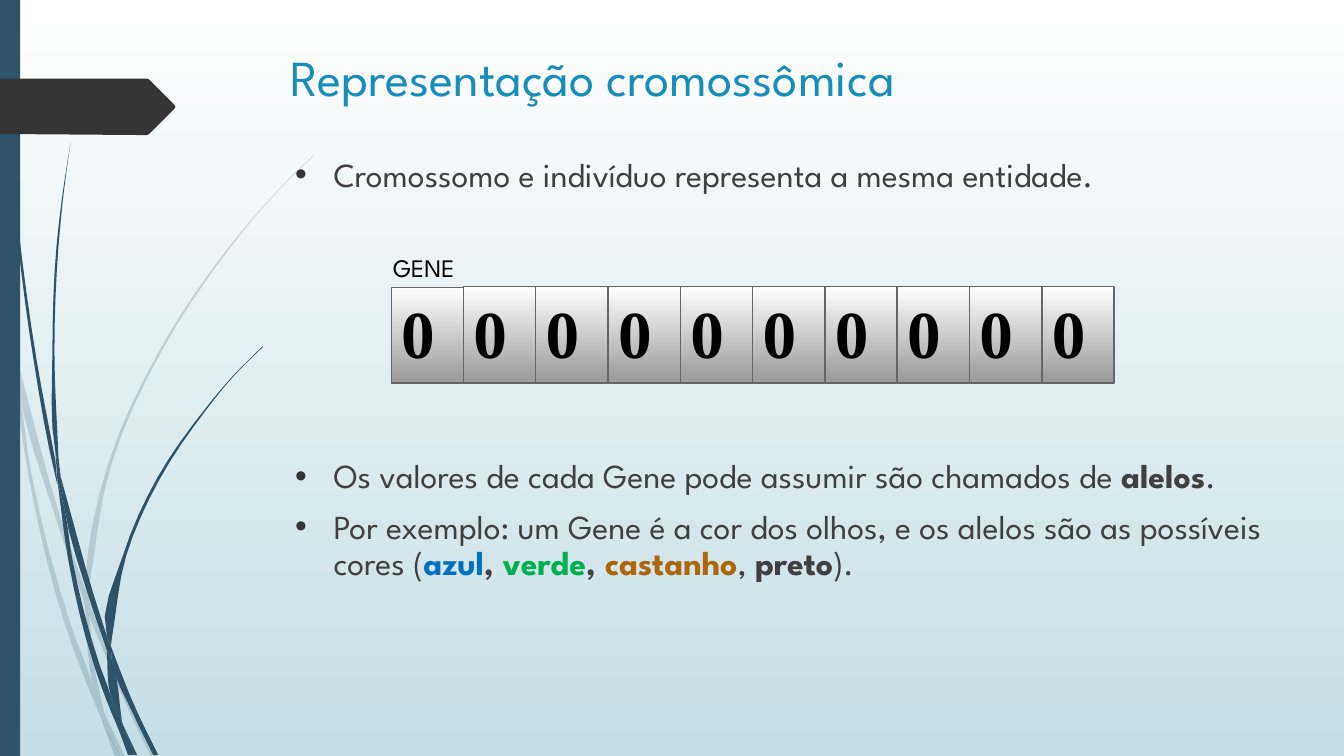
from lxml import etree
from pptx import Presentation, util as u
from pptx.dml.color import RGBColor
from pptx.enum import shapes, text
from pptx.oxml.ns import qn

BLUE, DARK, BODY = "2E5369", "353535", "404040"
SANS, SERIF = "League Spartan", "Times New Roman"

# Each piece of grass is a pair of edges: one running down, one back up
PALE_GRASS = [
    ([(0, 2.82), (0.09, 3.22), (0.11, 3.5)], [(0.1, 3.44), (0, 2.99)]),
    ([(0.14, 3.45), (0.17, 3.76), (0.58, 5.22), (0.84, 5.99)],
     [(0.85, 5.86), (0.62, 5.2), (0.14, 3.45)]),
    ([(0.88, 5.96), (0.92, 6.07), (1.27, 6.92), (1.55, 7.51)],
     [(1.5, 7.51), (1.23, 6.94), (0.88, 6.1)]),
    ([(1.05, 7.11), (1.24, 7.51)], [(1.19, 7.51), (1.05, 7.11)]),
    ([(0.11, 3.5), (0.28, 4.7), (0.65, 6.21), (0.92, 6.93), (1.01, 7.14)],
     [(0.99, 7.07), (0.93, 6.83), (0.7, 6.19), (0.31, 4.69), (0.17, 3.76), (0.11, 3.5)]),
    ([(0.84, 5.99), (0.87, 6.46), (0.93, 6.83), (0.96, 6.92), (1.05, 7.11)],
     [(1.03, 7.06), (0.91, 6.46), (0.88, 6.1), (0.84, 5.99)]),
    ([(3.12, 1.53), (2.89, 1.75), (2.68, 1.97), (2.28, 2.44), (1.58, 3.48),
      (1.07, 4.61), (0.85, 5.84), (0.85, 5.86), (0.88, 5.96)],
     [(0.88, 5.84), (1.1, 4.62), (1.6, 3.49), (2.29, 2.45), (2.68, 1.98),
      (2.9, 1.75), (3.12, 1.54)]),
    ([(1.01, 7.14), (1.14, 7.51)], [(1.19, 7.51), (1.01, 7.14)]),
    ([(0.85, 5.86), (0.84, 5.99), (0.88, 6.1)], [(0.88, 5.96), (0.85, 5.86)]),
    ([(0.93, 6.83), (0.99, 7.07), (1.01, 7.14), (1.19, 7.51)],
     [(1.05, 7.11), (0.96, 6.92), (0.93, 6.83)]),
]
DARK_GRASS = [
    ([(0.03, 0), (0.04, 0.48), (0.07, 1.1), (0.17, 2.33), (0.33, 3.55),
      (0.56, 4.77), (0.57, 4.81)],
     [(0.55, 4.57), (0.36, 3.55), (0.19, 2.32), (0.08, 1.09), (0.05, 0.48), (0.04, 0)]),
    ([(0.6, 4.72), (0.64, 5.05), (0.88, 5.92), (1.06, 6.45)],
     [(1.06, 6.31), (0.93, 5.9), (0.6, 4.72)]),
    ([(1.1, 6.41), (1.13, 6.49), (1.36, 7.06), (1.57, 7.49)],
     [(1.52, 7.49), (1.32, 7.08), (1.11, 6.56), (1.1, 6.41)]),
    ([(0.57, 4.77), (0.68, 5.57), (0.93, 6.59), (1.11, 7.08), (1.17, 7.22)],
     [(1.16, 7.17), (1.1, 6.91), (0.98, 6.57), (0.72, 5.56), (0.64, 5.05), (0.57, 4.77)]),
    ([(0.7, 1.41), (0.62, 1.93), (0.56, 2.45), (0.52, 3.49), (0.55, 4.49), (0.6, 4.72)],
     [(0.58, 4.53), (0.54, 3.49), (0.58, 2.45), (0.63, 1.93), (0.7, 1.41)]),
    ([(1.22, 7.19), (1.33, 7.49)], [(1.36, 7.49), (1.22, 7.19)]),
    ([(0.55, 4.49), (0.57, 4.77), (0.64, 5.05)], [(0.6, 4.72), (0.55, 4.49)]),
    ([(2.6, 3.44), (2.31, 3.73), (2.04, 4.05), (1.56, 4.74), (1.22, 5.51),
      (1.06, 6.31), (1.1, 6.41)],
     [(1.11, 6.33), (1.25, 5.52), (1.58, 4.76), (2.05, 4.06), (2.31, 3.74), (2.61, 3.44)]),
    ([(1.17, 7.22), (1.27, 7.49)], [(1.31, 7.49), (1.17, 7.22)]),
    ([(1.06, 6.45), (1.1, 6.91), (1.16, 7.06), (1.22, 7.19)],
     [(1.21, 7.16), (1.11, 6.56), (1.06, 6.45)]),
    ([(1.06, 6.31), (1.06, 6.45), (1.11, 6.56)], [(1.1, 6.41), (1.06, 6.31)]),
    ([(1.1, 6.91), (1.17, 7.22), (1.3, 7.49)],
     [(1.33, 7.49), (1.22, 7.19), (1.16, 7.06), (1.1, 6.91)]),
]


def rgb(color):
    return RGBColor.from_string(color)


def set_gradient(fill, top, bottom):
    fill.gradient()
    fill.gradient_angle = 270
    for stop, color in zip(fill.gradient_stops, (top, bottom)):
        stop.color.rgb = rgb(color)


def add_run(p, words, size, color, font=SANS, bold=False):
    r = p.add_run()
    r.text = words
    r.font.size = u.Pt(size)
    r.font.name = font
    r.font.bold = bold
    r.font.color.rgb = rgb(color)


def add_textbox(slide, left, top, width, height, wrap=True):
    box = slide.shapes.add_textbox(*map(u.Inches, (left, top, width, height)))
    box.text_frame.word_wrap = wrap
    return box.text_frame


def set_plain_fill(sp, color):
    sp.shadow.inherit = False
    sp.fill.solid()
    sp.fill.fore_color.rgb = rgb(color)
    sp.line.fill.background()


def add_outline(slide, points, color, opacity=100):
    pts = [(u.Inches(x), u.Inches(y)) for x, y in points]
    builder = slide.shapes.build_freeform(*pts[0])
    builder.add_line_segments(pts[1:], close=True)
    sp = builder.convert_to_shape()
    set_plain_fill(sp, color)
    if opacity < 100:
        clr = sp.fill._xPr.find(".//" + qn("a:srgbClr"))
        etree.SubElement(clr, qn("a:alpha"), val=str(opacity * 1000))


def smooth(points, steps=4):
    """Sample a smooth curve through the points, held as complex numbers."""
    pts = [complex(*p) for p in points]
    if len(pts) == 2:
        return points
    lengths = [abs(b - a) for a, b in zip(pts, pts[1:])]
    slopes = [(b - a) / n for a, b, n in zip(pts, pts[1:], lengths)]
    inner = [(v * m + w * n) / (m + n)
             for v, w, n, m in zip(slopes, slopes[1:], lengths, lengths[1:])]
    tangents = [slopes[0], *inner, slopes[-1]]
    curve = []
    for a, b, n, v, w in zip(pts, pts[1:], lengths, tangents, tangents[1:]):
        c, d = a + v * n / 3, b - w * n / 3
        for t in (i / steps for i in range(steps if n > 0.3 else 1)):
            s = 1 - t
            z = s**3 * a + 3 * s * s * t * c + 3 * s * t * t * d + t**3 * b
            curve.append((z.real, z.imag))
    return curve + [points[-1]]


def add_decoration(slide):
    set_gradient(slide.background.fill, "FFFFFF", "C5DEE5")
    for grass, opacity in ((PALE_GRASS, 20), (DARK_GRASS, 100)):
        for down, up in grass:
            add_outline(slide, smooth(down) + smooth(up), BLUE, opacity)
    bar = slide.shapes.add_shape(shapes.MSO_SHAPE.RECTANGLE, 0, 0,
                                 u.Inches(0.2), u.Inches(7.5))
    set_plain_fill(bar, BLUE)
    add_outline(slide, [(0, 0.78), (1.46, 0.78), (1.48, 0.79), (1.73, 1.04),
                        (1.74, 1.06), (1.73, 1.08), (1.48, 1.33), (1.46, 1.34),
                        (1.36, 1.34), (0, 1.33)], DARK)


def add_title(slide, left, top, width, height):
    tf = add_textbox(slide, left, top, width, height)
    add_run(tf.paragraphs[0], "Representação cromossômica", 36, "178DBB")


def add_bullets(slide, left, top, width, height):
    bullets = [
        (10, [("Cromossomo e indivíduo representa a mesma entidade.", BODY, False)]),
        (189.5, [("Os valores de cada Gene pode assumir são chamados de ", BODY, False),
                 ("alelos", BODY, True), (".", BODY, False)]),
        (10, [("Por exemplo: um Gene é a cor dos olhos, e os alelos são as "
               "possíveis cores (", BODY, False),
              ("azul", "0070C0", True), (", ", BODY, True),
              ("verde", "00B050", True), (", ", BODY, True),
              ("castanho", "AC670C", True), (", ", BODY, False),
              ("preto", BODY, True), (").", BODY, False)]),
    ]
    tf = add_textbox(slide, left, top, width, height)
    for i, (gap, runs) in enumerate(bullets):
        p = tf.add_paragraph() if i else tf.paragraphs[0]
        p.line_spacing = 0.9
        p.space_before = u.Pt(gap)
        pPr = p._p.get_or_add_pPr()
        indent = u.Inches(0.38)
        pPr.set("marL", str(indent))
        pPr.set("indent", str(-indent))
        bullet_color = etree.SubElement(pPr, qn("a:buClr"))
        etree.SubElement(bullet_color, qn("a:srgbClr"), val=DARK)
        etree.SubElement(pPr, qn("a:buFont"), typeface="Arial")
        etree.SubElement(pPr, qn("a:buChar"), char="•")
        for words, color, bold in runs:
            add_run(p, words, 24, color, bold=bold)


def add_chromosome(slide, left, top, width, height, genes="0000000000"):
    """Row of gene cells with a label over the first."""
    cell = width / len(genes)
    for i, gene in enumerate(genes):
        drop = 0 if i else 0.01
        sp = slide.shapes.add_shape(
            shapes.MSO_SHAPE.RECTANGLE, u.Inches(left + i * cell),
            u.Inches(top + drop), u.Inches(cell), u.Inches(height - drop))
        sp.shadow.inherit = False
        set_gradient(sp.fill, "FFFFFF", "999999")
        sp.line.color.rgb = rgb("666666")
        sp.line.width = u.Pt(1)
        tf = sp.text_frame
        tf.vertical_anchor = text.MSO_ANCHOR.MIDDLE
        tf.margin_bottom = u.Inches(0.11)
        p = tf.paragraphs[0]
        p.alignment = text.PP_ALIGN.LEFT
        add_run(p, gene, 48, "000000", SERIF, True)
    label = add_textbox(slide, left - 0.08, top - 0.39, 0.88, 0.4, wrap=False)
    label.auto_size = text.MSO_AUTO_SIZE.SHAPE_TO_FIT_TEXT
    add_run(label.paragraphs[0], "GENE", 18, "000000")


def main():
    prs = Presentation()
    prs.slide_width, prs.slide_height = u.Inches(13.33), u.Inches(7.5)
    slide = prs.slides.add_slide(prs.slide_layouts[6])
    add_decoration(slide)
    add_title(slide, 2.78, 0.41, 9.75, 1.4)
    add_bullets(slide, 2.83, 1.52, 10.5, 1.34)
    add_chromosome(slide, 3.88, 2.84, 7.17, 0.96)
    prs.save("out.pptx")


if __name__ == "__main__":
    main()
